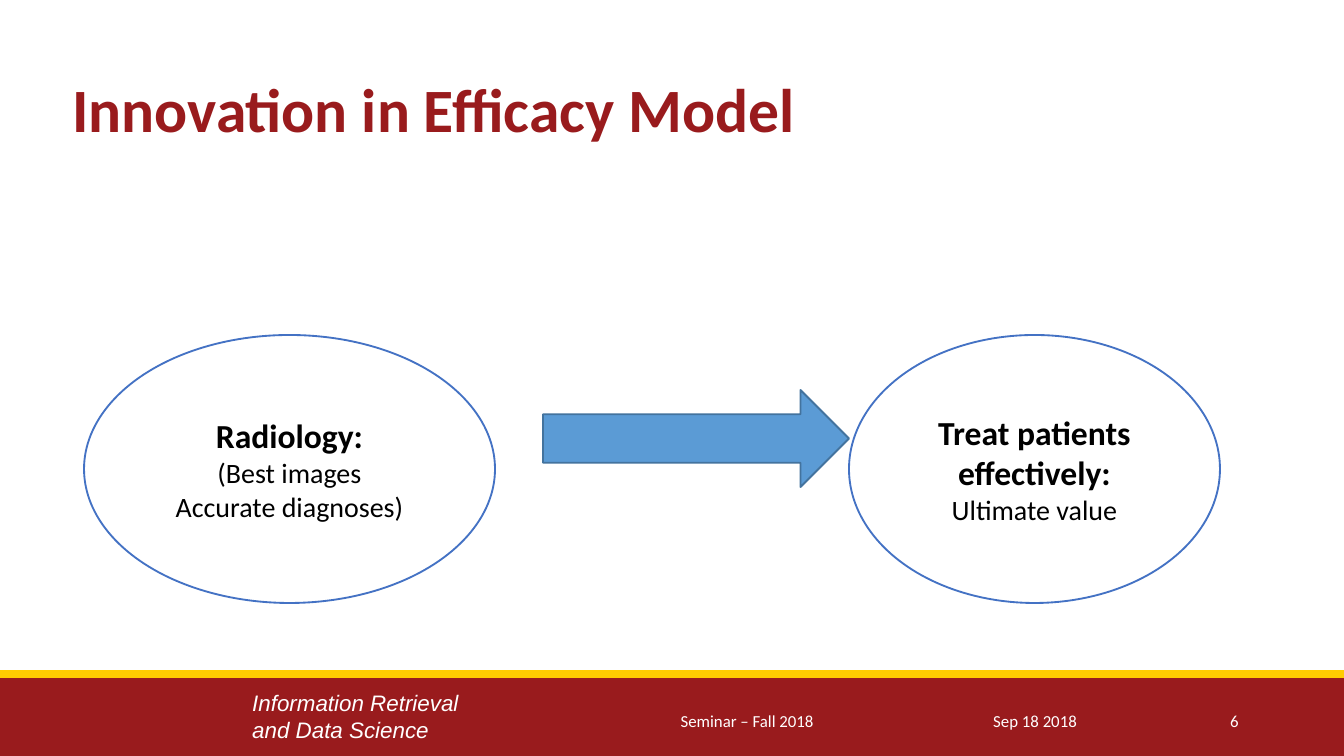
from lxml.etree import SubElement
from pptx import Presentation
from pptx.dml.color import RGBColor
from pptx.enum.shapes import MSO_CONNECTOR, MSO_SHAPE
from pptx.enum.text import MSO_ANCHOR, MSO_AUTO_SIZE, PP_ALIGN
from pptx.oxml.ns import qn
from pptx.util import Emu, Pt

PIXEL = 914400 / 134.4
WIDTH, HEIGHT = 1344, 756
BAND_TOP = 675

CARDINAL = RGBColor(0x99, 0x1B, 0x1D)
GOLD = RGBColor(0xFF, 0xCC, 0x01)
WHITE = RGBColor(0xFF, 0xFF, 0xFF)
BLACK = RGBColor(0x00, 0x00, 0x00)
OUTLINE_BLUE = RGBColor(0x44, 0x72, 0xC4)
ARROW_BLUE = RGBColor(0x5B, 0x9B, 0xD5)
ARROW_EDGE = RGBColor(0x43, 0x73, 0x9E)


def pixels(*values):
    """Turn pixel lengths into EMU."""
    return [Emu(round(value * PIXEL)) for value in values]


class SlideBuilder:
    """Holds the style and the current slide."""

    def __init__(self, slide, font="Calibri"):
        """Keep the slide and its main font."""
        self.slide = slide
        self.font = font

    def fill_text(self, frame, lines, color, align=PP_ALIGN.LEFT, font=None, italic=None):
        """Fill a text frame with (text, size, bold) lines."""
        for index, (text, size, bold) in enumerate(lines):
            paragraph = frame.add_paragraph() if index else frame.paragraphs[0]
            paragraph.text = text
            paragraph.alignment = align
            paragraph.font.name = font or self.font
            paragraph.font.size = Pt(size)
            paragraph.font.bold = bold
            paragraph.font.italic = italic
            paragraph.font.color.rgb = color

    def title(self, box, text):
        """Place and format the title placeholder."""
        title = self.slide.shapes.title
        title.left, title.top, title.width, title.height = pixels(*box)
        frame = title.text_frame
        frame.auto_size = MSO_AUTO_SIZE.NONE
        frame.vertical_anchor = MSO_ANCHOR.MIDDLE
        self.fill_text(frame, [(text, 33, True)], CARDINAL)
        frame.paragraphs[0].line_spacing = 0.9

    def text(self, box, lines, wrap=True, anchor=MSO_ANCHOR.MIDDLE, **style):
        """Add a white text box."""
        frame = self.slide.shapes.add_textbox(*pixels(*box)).text_frame
        frame.word_wrap = wrap
        frame.vertical_anchor = anchor
        self.fill_text(frame, lines, WHITE, **style)

    def shape(self, kind, box, fill, line=None, lines=()):
        """Add a preset shape with optional outline and centred text."""
        shape = self.slide.shapes.add_shape(kind, *pixels(*box))
        shape.shadow.inherit = False
        shape.fill.solid()
        shape.fill.fore_color.rgb = fill
        if line is None:
            shape.line.fill.background()
        else:
            shape.line.color.rgb = line
            shape.line.width = Pt(1)
        frame = shape.text_frame
        frame.word_wrap = True
        frame.vertical_anchor = MSO_ANCHOR.MIDDLE
        self.fill_text(frame, lines, BLACK, PP_ALIGN.CENTER)

    def line(self, start, end, color, width):
        """Add a straight line without a shadow."""
        line = self.slide.shapes.add_connector(
            MSO_CONNECTOR.STRAIGHT, *pixels(*start, *end))
        line.line.color.rgb = color
        line.line.width = Pt(width)
        SubElement(line._element.spPr, qn("a:effectLst"))


def main():
    """Build and save the slide."""
    presentation = Presentation()
    presentation.slide_width, presentation.slide_height = pixels(WIDTH, HEIGHT)
    builder = SlideBuilder(presentation.slides.add_slide(presentation.slide_layouts[5]))

    builder.shape(MSO_SHAPE.RECTANGLE, (0, BAND_TOP, WIDTH, HEIGHT - BAND_TOP), CARDINAL)
    builder.text((239, 683, 241, 67),
                 [("Information Retrieval", 12, None), ("and Data Science", 12, None)],
                 wrap=False, anchor=MSO_ANCHOR.TOP, font="Arial", italic=True)
    builder.line((0, BAND_TOP - 1), (WIDTH, BAND_TOP - 1), GOLD, 4.5)
    builder.title((59, 40, 1192, 146), "Innovation in Efficacy Model")

    for left, width, text, align in (
        (980, 192, "Sep 18 2018", PP_ALIGN.LEFT),
        (556, 382, "Seminar – Fall 2018", PP_ALIGN.CENTER),
        (1183, 69, "6", PP_ALIGN.RIGHT),
    ):
        builder.text((left, 701, width, 40), [(text, 9, None)], align=align)

    builder.shape(MSO_SHAPE.RIGHT_ARROW, (543, 390, 306, 97), ARROW_BLUE, ARROW_EDGE)
    for left, width, heading, details in (
        (84, 411, "Radiology:", ("(Best images", "Accurate diagnoses)")),
        (849, 371, "Treat patients effectively:", ("Ultimate value",)),
    ):
        lines = [(heading, 18, True)] + [(detail, 15, False) for detail in details]
        builder.shape(MSO_SHAPE.OVAL, (left, 335, width, 268), WHITE, OUTLINE_BLUE, lines)

    presentation.save("out.pptx")


main()
